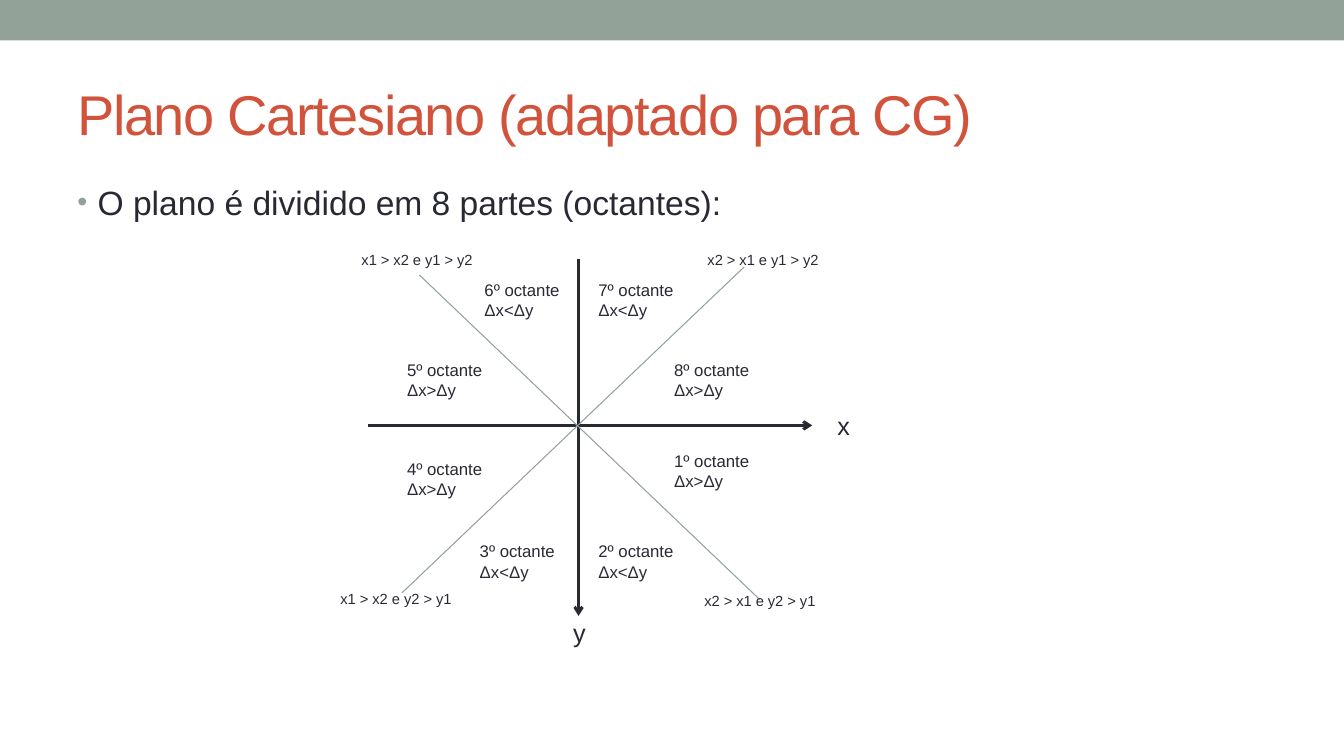
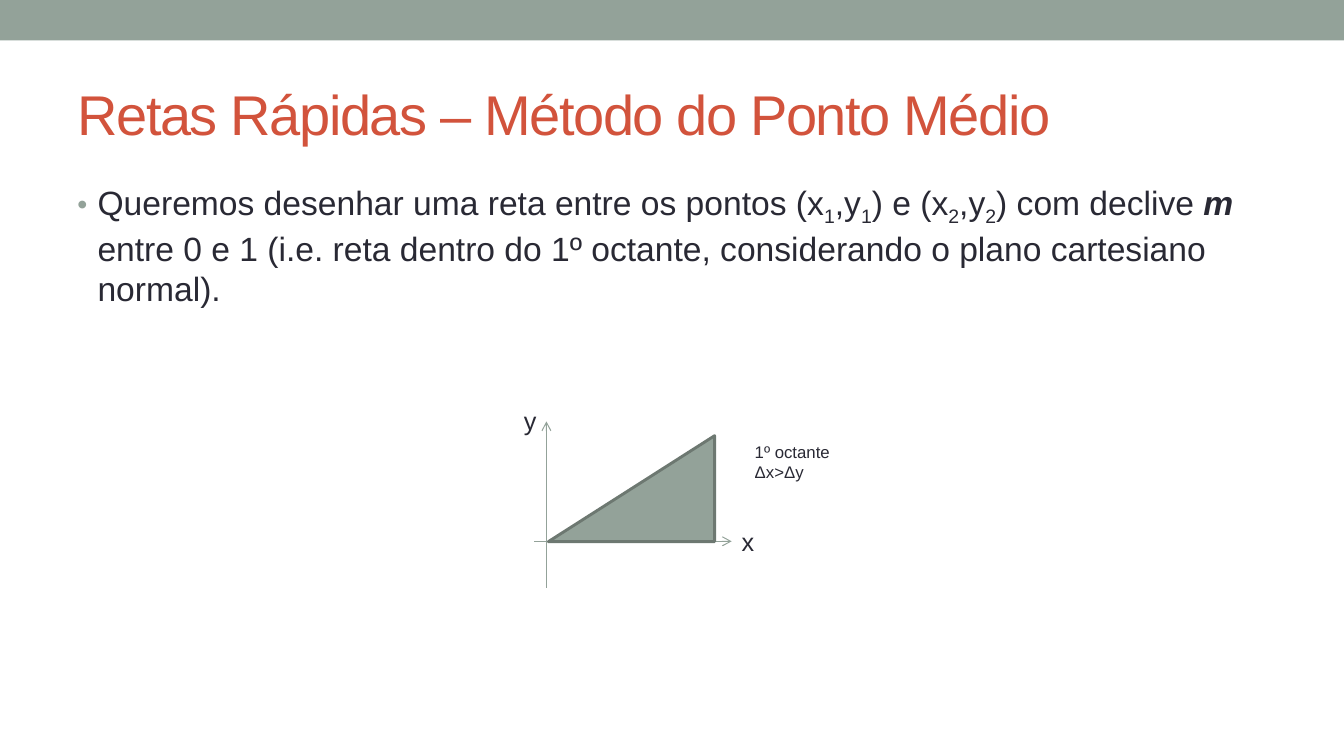
from dataclasses import dataclass

from lxml.etree import SubElement
from pptx import Presentation
from pptx.dml.color import RGBColor as RGB
from pptx.enum.shapes import MSO_CONNECTOR as CONN, MSO_SHAPE as SHAPE
from pptx.enum.text import MSO_ANCHOR as ANCHOR, PP_ALIGN as ALIGN
from pptx.oxml.ns import qn
from pptx.util import Cm, Pt


@dataclass(frozen=True)
class Theme:
    font: str = "Arial"
    accent: RGB = RGB(0x93, 0xA2, 0x99)
    outline: RGB = RGB(0x6D, 0x78, 0x71)
    heading: RGB = RGB(0xD2, 0x53, 0x3C)
    ink: RGB = RGB(0x29, 0x29, 0x34)
    title_size: float = 40
    body_size: float = 24
    axis_size: float = 18
    octant_size: float = 12
    condition_size: float = 10.5
    thin: float = 0.75
    thick: float = 2.08


T = Theme()
WIDTH, HEIGHT = 33.87, 19.05
MARGIN, CONTENT_W = 1.7, 30.48
STEEP, SHALLOW = "Δx<Δy", "Δx>Δy"


# --- Basic parts ---
def add_run(p, text, size, color=T.ink):
    r = p.add_run()
    r.text = text
    r.font.name, r.font.size = T.font, Pt(size)
    r.font.color.rgb = color
    return r


def add_box(s, x, y, w, h):
    tf = s.shapes.add_textbox(Cm(x), Cm(y), Cm(w), Cm(h)).text_frame
    tf.word_wrap = True
    return tf


def add_label(s, x, y, w, h, lines, size, align=ALIGN.LEFT):
    tf = add_box(s, x, y, w, h)
    for i, line in enumerate(lines):
        p = tf.add_paragraph() if i else tf.paragraphs[0]
        p.alignment = align
        add_run(p, line, size)


def add_octant(s, x, y, number, rule):
    add_label(s, x, y, 2.54, 1.27, [f"{number}º octante", rule], T.octant_size)


def add_line(s, x1, y1, x2, y2, color=T.accent, width=T.thin, arrow=False):
    c = s.shapes.add_connector(CONN.STRAIGHT, Cm(x1), Cm(y1), Cm(x2), Cm(y2))
    c.line.color.rgb, c.line.width = color, Pt(width)
    if arrow:
        SubElement(c.line._get_or_add_ln(), qn("a:tailEnd"), type="arrow")
    SubElement(c._element.spPr, qn("a:effectLst"))


def add_solid(s, shape, x, y, w, h):
    sp = s.shapes.add_shape(shape, Cm(x), Cm(y), Cm(w), Cm(h))
    sp.shadow.inherit = False
    sp.fill.solid()
    sp.fill.fore_color.rgb = T.accent
    sp.line.fill.background()
    return sp


# --- Shared frame: band, title and bulleted statement ---
def add_frame(prs, title, statement):
    s = prs.slides.add_slide(prs.slide_layouts[6])
    add_solid(s, SHAPE.RECTANGLE, 0, 0, WIDTH, 1.02)

    tf = add_box(s, MARGIN, 1.47, CONTENT_W, 2.74)
    tf.vertical_anchor = ANCHOR.MIDDLE
    r = add_run(tf.paragraphs[0], title, T.title_size, T.heading)
    r.font._element.set("spc", "-100")

    p = add_box(s, MARGIN, 4.45, CONTENT_W, 13.54).paragraphs[0]
    add_bullet(p)
    for text, style in statement:
        r = add_run(p, text, T.body_size)
        if style == "sub":
            r.font._element.set("baseline", "-25000")
        elif style == "strong":
            r.font.bold = r.font.italic = True
    return s


def add_bullet(p):
    p.space_before = Pt(T.body_size * 0.2)
    pPr = p._p.get_or_add_pPr()
    indent = Cm(0.51)
    pPr.set("marL", str(indent))
    pPr.set("indent", str(-indent))
    color = SubElement(pPr, qn("a:buClr"))
    SubElement(color, qn("a:srgbClr"), val=str(T.accent))
    SubElement(pPr, qn("a:buSzPct"), val="85000")
    SubElement(pPr, qn("a:buFont"), typeface=T.font)
    SubElement(pPr, qn("a:buChar"), char="•")


# --- Plane divided into eight octants ---
def add_octant_plane(s, x, y):
    cx, cy = x + 6.25, y + 4.52
    # Axes
    add_line(s, cx, y + 0.33, cx, y + 9.32, T.ink, T.thick, arrow=True)
    add_line(s, x + 0.94, cy, x + 12.14, cy, T.ink, T.thick, arrow=True)
    for name, dx, dy in (("y", 5.18, 9.22), ("x", 11.84, 4.01)):
        add_label(s, x + dx, y + dy, 1.5, 1.02, [name], T.axis_size, ALIGN.RIGHT)
    # Diagonals
    add_line(s, x + 1.8, y + 8.74, x + 10.42, y + 0.53)
    add_line(s, x + 10.82, y + 8.91, x + 2.24, y + 0.73)
    # Octants, clockwise from the positive x axis
    corners = [(8.41, 5.03), (6.5, 7.31), (3.51, 7.31), (1.68, 5.23),
               (1.68, 2.74), (3.63, 0.73), (6.5, 0.73), (8.41, 2.74)]
    for n, (dx, dy) in enumerate(corners, 1):
        add_octant(s, x + dx, y + dy, n, SHALLOW if n % 4 < 2 else STEEP)
    # Quadrant conditions
    for text, dx, dy in (("x2 > x1 e y2 > y1", 9.17, 8.58),
                         ("x1 > x2 e y2 > y1", 0, 8.53),
                         ("x1 > x2 e y1 > y2", 0.53, 0),
                         ("x2 > x1 e y1 > y2", 9.25, 0)):
        add_label(s, x + dx, y + dy, 3.4, 1.47, [text], T.condition_size)


# --- First octant as a triangle on small axes ---
def add_first_octant(s, x, y):
    # Axes
    add_line(s, x + 0.82, y + 4.73, x + 0.82, y + 0.54, arrow=True)
    add_line(s, x + 0.51, y + 3.56, x + 5.49, y + 3.56, arrow=True)
    for name, dx, dy in (("x", 5.49, 3.05), ("y", 0, 0)):
        add_label(s, x + dx, y + dy, 1, 1.02, [name], T.axis_size)
    # Triangle with the right angle on the right
    sp = add_solid(s, SHAPE.RIGHT_TRIANGLE, x + 0.87, y + 0.9, 4.19, 2.67)
    sp.line.color.rgb, sp.line.width = T.outline, Pt(T.thick)
    sp._element.spPr.find(qn("a:xfrm")).set("flipH", "1")
    add_octant(s, x + 5.82, y + 0.92, 1, SHALLOW)


def main():
    prs = Presentation()
    prs.slide_width, prs.slide_height = Cm(WIDTH), Cm(HEIGHT)

    s = add_frame(prs, "Plano Cartesiano (adaptado para CG)",
                  [("O plano é dividido em 8 partes (octantes):", "")])
    add_octant_plane(s, 8.33, 6.2)

    s = add_frame(prs, "Retas Rápidas – Método do Ponto Médio", [
        ("Queremos desenhar uma reta entre os pontos (x", ""), ("1", "sub"),
        (",y", ""), ("1", "sub"), (") e (x", ""), ("2", "sub"),
        (",y", ""), ("2", "sub"), (") com declive ", ""), ("m", "strong"),
        (" entre 0 e 1 (i.e. reta dentro do 1º octante, "
         "considerando o plano cartesiano normal).", ""),
    ])
    add_first_octant(s, 12.95, 10.08)

    prs.save("out.pptx")


if __name__ == "__main__":
    main()
